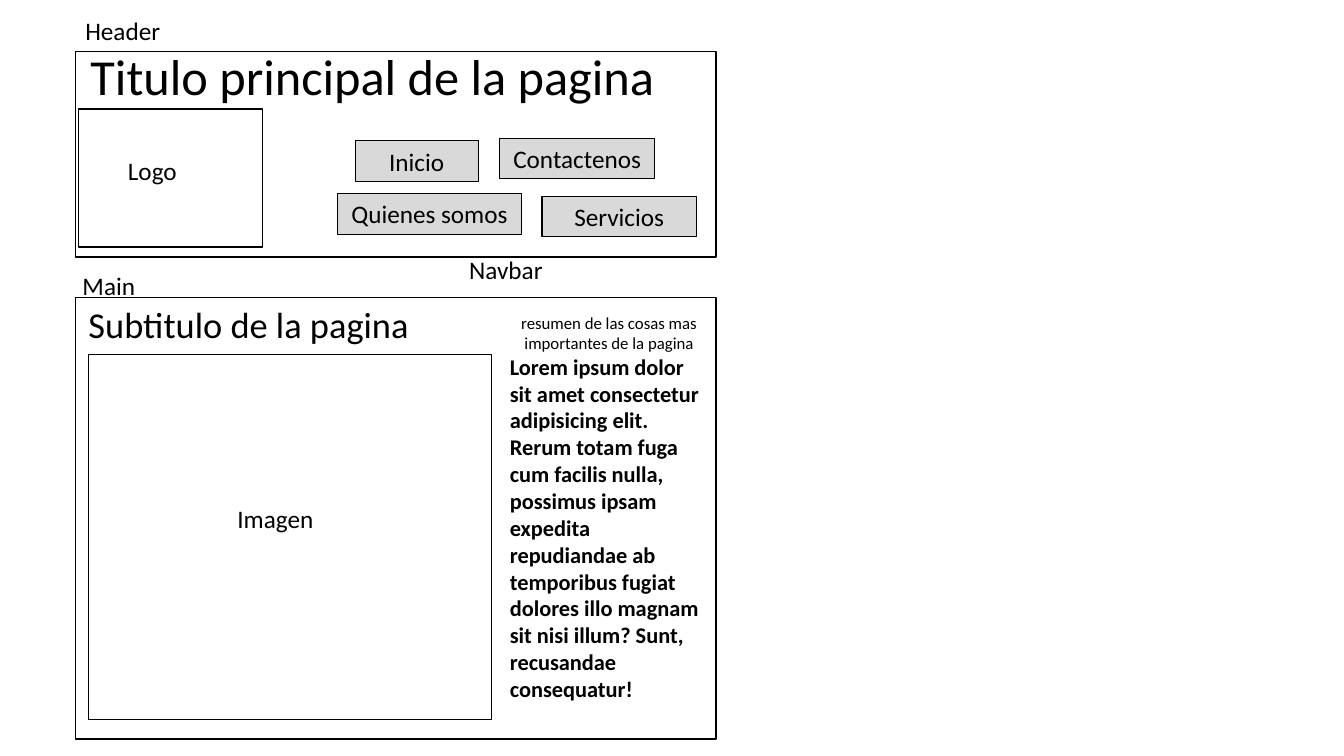
from pptx import Presentation
from pptx.dml.color import RGBColor
from pptx.enum.shapes import MSO_SHAPE as Shape
from pptx.enum.text import MSO_ANCHOR as Anchor, MSO_AUTO_SIZE as Fit, PP_ALIGN as Align
from pptx.util import Cm, Pt

FONT = "Calibri"
COLORS = {"ink": "000000", "paper": "FFFFFF", "button": "D9D9D9"}
ROW = 1.02
LOREM = (
    "Lorem ipsum dolor sit amet consectetur adipisicing elit. Rerum totam fuga "
    "cum facilis nulla, possimus ipsam expedita repudiandae ab temporibus fugiat "
    "dolores illo magnam sit nisi illum? Sunt, recusandae consequatur!"
)


def color(name):
    """Return the named colour."""
    return RGBColor.from_string(COLORS[name])


def style(para, size, align=Align.LEFT, bold=False):
    """Format a paragraph and its runs."""
    para.alignment = align
    for run in para.runs:
        run.font.name = FONT
        run.font.size = Pt(size)
        run.font.bold = bold
        run.font.color.rgb = color("ink")


def add_box(slide, left, top, width, height, fill="paper", weight=1):
    """Draw an outlined rectangle."""
    box = slide.shapes.add_shape(
        Shape.RECTANGLE, Cm(left), Cm(top), Cm(width), Cm(height))
    box.shadow.inherit = False
    box.fill.solid()
    box.fill.fore_color.rgb = color(fill)
    box.line.color.rgb = color("ink")
    box.line.width = Pt(weight)
    return box


def add_button(slide, text, left, top, width):
    """Draw a grey navigation button."""
    box = add_box(slide, left, top, width, ROW, "button", 0.75)
    frame = box.text_frame
    frame.word_wrap = True
    frame.vertical_anchor = Anchor.TOP
    frame.text = text
    style(frame.paragraphs[0], 18, Align.CENTER)


def add_label(slide, text, left, top, width=3.1, height=ROW, size=18, align=Align.LEFT):
    """Add a wrapped text box and return its frame."""
    box = slide.shapes.add_textbox(Cm(left), Cm(top), Cm(width), Cm(height))
    frame = box.text_frame
    frame.word_wrap = True
    frame.auto_size = Fit.SHAPE_TO_FIT_TEXT
    frame.text = text
    style(frame.paragraphs[0], size, align)
    return frame


def add_header(slide):
    """Build the header with its title, logo area and navbar."""
    add_box(slide, 1.9, 1.3, 16.15, 5.18)
    add_label(slide, "Header", 1.9, 0.25)
    add_label(slide, "Titulo principal de la pagina", 2.03, 1.02, 15.16, 1.8, 36)
    add_box(slide, 1.98, 2.75, 4.63, 3.48)
    add_label(slide, "Logo", 2.29, 3.78, align=Align.CENTER)
    for text, left, top, width in (
        ("Inicio", 8.95, 3.55, 3.1),
        ("Quienes somos", 8.5, 4.88, 4.65),
        ("Contactenos", 12.6, 3.48, 3.89),
        ("Servicios", 13.66, 4.95, 3.89),
    ):
        add_button(slide, text, left, top, width)
    add_label(slide, "Navbar", 11.2, 6.28, align=Align.CENTER)


def add_main(slide):
    """Build the main block with its image area and summary."""
    add_box(slide, 1.9, 7.5, 16.15, 11.12)
    add_label(slide, "Main", 1.83, 6.69)
    add_label(slide, "Subtitulo de la pagina", 1.98, 7.5, 16.48, 1.37, 26)
    add_box(slide, 2.23, 8.93, 10.16, 9.2)
    add_label(slide, "Imagen", 5.39, 12.56, align=Align.CENTER)
    frame = add_label(slide, "resumen de las cosas mas importantes de la pagina",
                      12.6, 7.75, 5.5, 10.18, 12, Align.CENTER)
    para = frame.add_paragraph()
    para.text = LOREM
    style(para, 16, bold=True)


def main():
    """Build and save the page wireframe."""
    deck = Presentation()
    deck.slide_width, deck.slide_height = Cm(33.87), Cm(19.05)
    slide = deck.slides.add_slide(deck.slide_layouts[6])
    add_header(slide)
    add_main(slide)
    deck.save("out.pptx")


if __name__ == "__main__":
    main()
